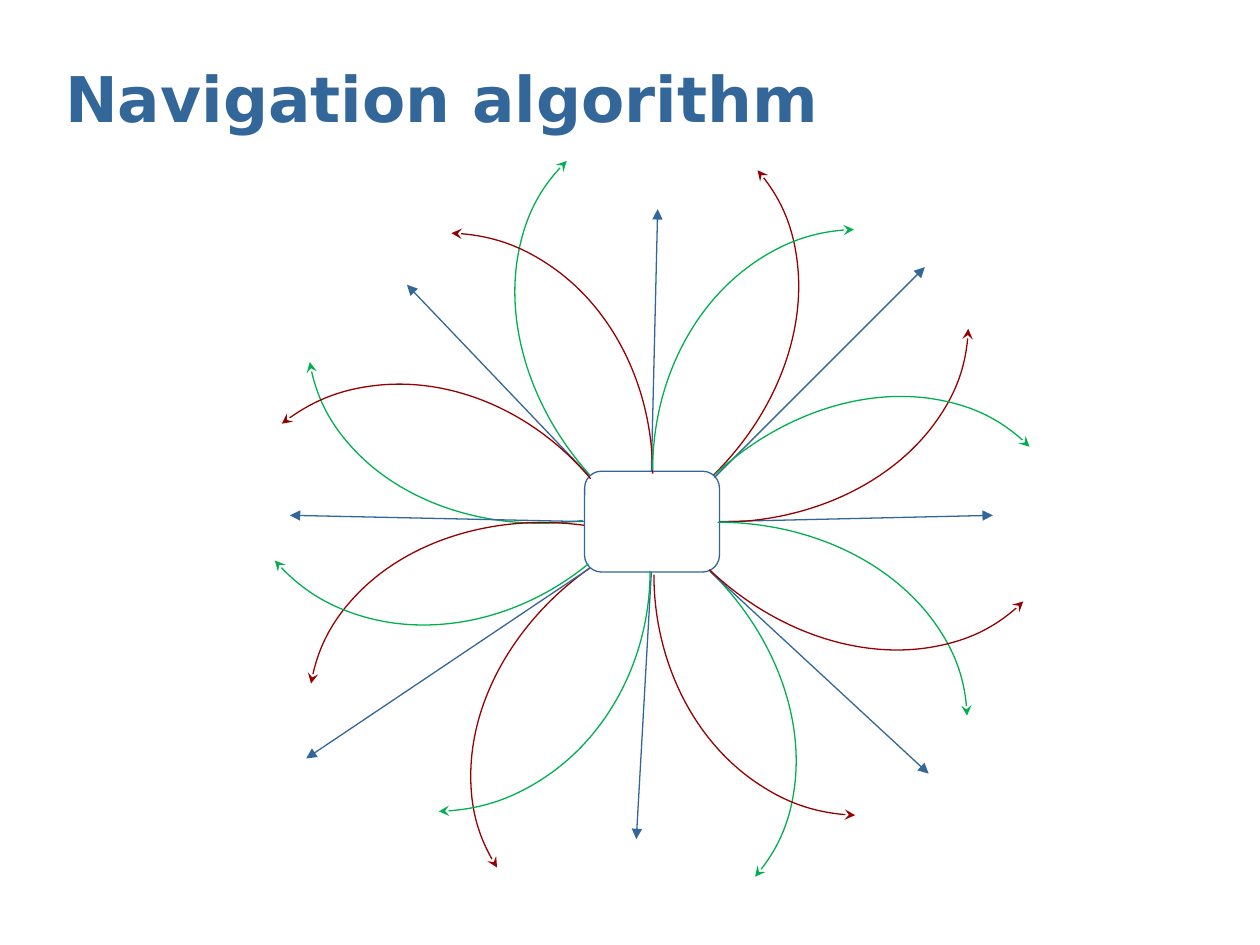
from pptx import Presentation
from pptx.dml.color import RGBColor
from pptx.enum.shapes import MSO_CONNECTOR as Link, MSO_SHAPE as Form
from pptx.enum.text import MSO_ANCHOR as Anchor
from pptx.oxml.ns import qn
from pptx.util import Inches, Pt
from lxml.etree import SubElement as Sub

BLUE, RED, GREEN, WHITE = "336699", "970000", "00B050", "FFFFFF"
paint = RGBColor.from_string

deck = Presentation()
deck.slide_width, deck.slide_height = Inches(10), Inches(7.5)
page = deck.slides.add_slide(deck.slide_layouts[6])
shapes = page.shapes
unit = deck.slide_width / 100


def cells(*counts):
    """Turn counts of grid cells (100 columns, 75 rows) into lengths."""
    return [round(count * unit) for count in counts]


def stroke(item, color, end=None, kind=None):
    """Draw a thin line without shadow, with an arrowhead at one end."""
    item.line.color.rgb = paint(color)
    item.line.width = Pt(0.75)
    if end:
        Sub(item.line._get_or_add_ln(), qn(f"a:{end}"), type=kind)
    props = item._element.spPr
    if props.find(qn("a:effectLst")) is None:
        Sub(props, qn("a:effectLst"))


# Title
title = shapes.add_textbox(*cells(4.2, 4.2, 93.5, 7))
frame = title.text_frame
frame.word_wrap = True
frame.vertical_anchor = Anchor.MIDDLE
run = frame.paragraphs[0].add_run()
run.text = "Navigation algorithm"
look = {"name": "DejaVu Sans", "size": Pt(36), "bold": True}
for key, value in look.items():
    setattr(run.font, key, value)
run.font.color.rgb = paint(BLUE)

# Curved paths: left, top, turn, size, color; green ones are mirrored
tall, wide, broad = (31.5, 39.6), (32.7, 38.2), (34.3, 38.2)
back = [
    (29.6, 6.9, 47.1, tall, RED),
    (42.8, 7.4, 137.9, tall, GREEN),
    (40.2, 38.1, 235.3, tall, RED),
    (28.4, 5.9, 82.3, tall, GREEN),
    (29.4, 36.6, 312.9, tall, GREEN),
]
front = [
    (19.1, 18.5, 0, wide, RED),
    (18, 29.4, 320, wide, RED),
    (28.5, 37.5, 277.7, tall, RED),
    (51.9, 26.5, 180, wide, RED),
    (41.3, 5.9, 90, tall, RED),
    (17.3, 26.2, 0, broad, GREEN),
    (20, 13, 50.7, wide, GREEN),
    (51.8, 18.2, 180, wide, GREEN),
    (41.2, 37.4, 270, tall, GREEN),
    (51.7, 29.4, 227.2, tall, GREEN),
    (51.4, 14, 133.6, tall, RED),
]
# Straight paths: start and tip
rays = [
    (51.7, 37.4, 52.2, 16.6),
    (56.7, 37.9, 73.4, 21.2),
    (57.1, 41.4, 78.8, 40.9),
    (56.4, 45.4, 73.7, 61.4),
    (51.7, 45.4, 50.5, 66.6),
    (46.8, 45.1, 24.3, 60.2),
    (46.4, 41.4, 23, 40.9),
    (46.7, 37.7, 32.3, 22.6),
]

for layer in (back, front):
    if layer is front:
        robot = shapes.add_shape(Form.ROUNDED_RECTANGLE, *cells(46.4, 37.4, 10.7, 8))
        robot.fill.solid()
        robot.fill.fore_color.rgb = paint(WHITE)
        stroke(robot, BLUE)
        for ray in rays:
            line = shapes.add_connector(Link.STRAIGHT, *cells(*ray))
            stroke(line, BLUE, "tailEnd", "triangle")
    for left, top, turn, size, color in layer:
        curve = shapes.add_shape(Form.ARC, *cells(left, top, *size))
        curve.adjustments[0] = 162.69
        curve.adjustments[1] = 0
        curve.rotation = turn
        if color == GREEN:
            curve._element.spPr.xfrm.set("flipV", "1")
        curve.fill.background()
        stroke(curve, color, "headEnd", "stealth")

deck.save("out.pptx")
